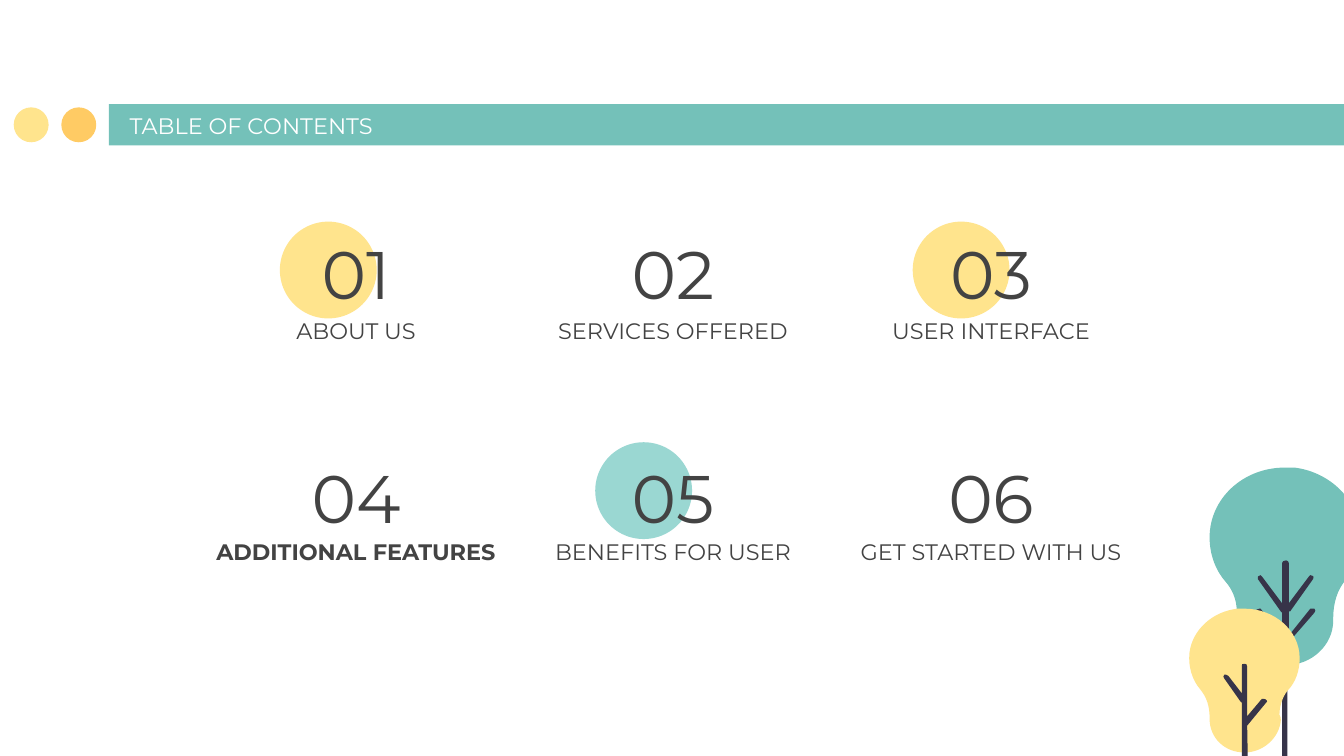
import lxml.etree
import pptx
import pptx.dml.color
import pptx.enum.shapes
import pptx.enum.text
import pptx.oxml.ns
import pptx.util

Cm = pptx.util.Cm
MSO_SHAPE = pptx.enum.shapes.MSO_SHAPE
ANCHOR = pptx.enum.text.MSO_ANCHOR
ALIGN = pptx.enum.text.PP_ALIGN
RGB = pptx.dml.color.RGBColor.from_string
qn = pptx.oxml.ns.qn

COLORS = {"teal": "74C1B9", "mint": "9AD7D2", "yellow": "FFE48D", "orange": "FFCB64",
          "bark": "373449", "ink": "434343", "white": "FFFFFF"}


def write_text(box, text, size=12, color="ink", bold=False, align=ALIGN.CENTER, anchor=ANCHOR.BOTTOM):
    frame = box.text_frame
    frame.word_wrap = True
    frame.auto_size = pptx.enum.text.MSO_AUTO_SIZE.NONE
    frame.vertical_anchor = anchor
    frame.margin_left = frame.margin_right = frame.margin_top = frame.margin_bottom = Cm(0.25)
    para = frame.paragraphs[0]
    para.alignment = align
    span = para.add_run()
    span.text = text
    span.font.name = "Montserrat"
    span.font.size = pptx.util.Pt(size)
    span.font.bold = bold
    span.font.color.rgb = RGB(COLORS[color])


def paint(shape, color):
    shape.shadow.inherit = False
    shape.fill.solid()
    shape.fill.fore_color.rgb = RGB(COLORS[color])
    shape.line.fill.background()


deck = pptx.Presentation()
deck.slide_width, deck.slide_height = Cm(25.4), Cm(14.29)
page = deck.slides.add_slide(deck.slide_layouts[5])

bar = page.shapes.add_shape(MSO_SHAPE.RECTANGLE, Cm(2.06), Cm(1.97), Cm(24.13), Cm(0.78))
paint(bar, "teal")
for left, color in ((1.16, "orange"), (0.26, "yellow")):
    dot = page.shapes.add_shape(MSO_SHAPE.OVAL, Cm(left), Cm(2.03), Cm(0.66), Cm(0.66))
    paint(dot, color)

title = page.shapes.title
title.left, title.top, title.width, title.height = Cm(2.2), Cm(2.01), Cm(13.92), Cm(0.86)
write_text(title, "TABLE OF CONTENTS", color="white", align=ALIGN.LEFT)
bar._element.addnext(title._element)

centers = (6.73, 12.72, 18.73)
circle_lefts = (5.29, 11.25, 17.25)
topics = [("ABOUT US", "yellow"), ("SERVICES OFFERED", None), ("USER INTERFACE", "yellow"),
          ("ADDITIONAL FEATURES", None), ("BENEFITS FOR USER", "mint"), ("GET STARTED WITH US", None)]
for index, (topic, color) in enumerate(topics):
    row, column = divmod(index, 3)
    center = centers[column]
    if color:
        circle = page.shapes.add_shape(MSO_SHAPE.OVAL, Cm(circle_lefts[column]), Cm(4.19 + 4.17 * row),
                                       Cm(1.83), Cm(1.83))
        paint(circle, color)
    number = page.shapes.add_textbox(Cm(center - 2.44), Cm(4.35 + 4.23 * row), Cm(4.88), Cm(1.6))
    write_text(number, f"{index + 1:02}", size=36, anchor=ANCHOR.MIDDLE)
    label = page.shapes.add_textbox(Cm(center - 3.23), Cm(5.16 + 4.17 * row), Cm(6.46), Cm(1.6))
    write_text(label, topic, bold=topic == "ADDITIONAL FEATURES")

# Outlines are in hundredths of an inch: two numbers make a line, six make a Bezier curve.
big_crown = [
    (956, 348), (925, 348, 900, 371, 900, 400), (900, 412, 904, 424, 912, 433),
    (918, 440, 921, 449, 920, 458), (920, 459, 920, 461, 920, 463),
    (920, 481, 937, 495, 956, 495), (956, 495, 957, 495, 957, 495),
    (976, 495, 992, 480, 992, 462), (992, 460),
    (992, 449, 995, 439, 1001, 432), (1010, 421, 1014, 407, 1012, 394),
    (1009, 370, 988, 351, 963, 348), (960, 348, 958, 348, 956, 348)]
big_trunk = [
    (957, 417), (955, 417, 954, 418, 954, 419), (954, 449), (939, 429),
    (939, 428, 938, 428, 938, 428), (936, 428, 935, 430, 936, 431), (953, 455),
    (953, 455, 954, 455, 954, 456), (954, 473), (938, 453),
    (938, 453, 937, 453, 937, 453), (935, 453, 934, 454, 935, 456), (954, 479), (954, 584),
    (954, 585, 955, 586, 957, 586), (958, 586, 958, 585, 958, 584), (958, 479), (978, 456),
    (979, 455, 979, 454, 978, 453), (977, 453, 977, 453, 976, 453),
    (976, 453, 975, 453, 975, 453), (959, 473), (959, 455),
    (959, 455, 959, 455, 960, 455), (977, 431), (978, 429, 977, 428, 975, 428),
    (975, 428, 974, 428, 974, 429), (959, 449), (959, 419), (959, 418, 958, 417, 957, 417)]
small_crown = [
    (926, 453), (924, 453, 923, 453, 921, 453), (902, 455, 887, 469, 885, 486),
    (884, 496, 887, 506, 893, 513), (898, 519, 900, 526, 900, 534), (900, 535),
    (900, 549, 911, 560, 926, 560), (926, 560, 926, 560, 926, 560),
    (940, 560, 952, 549, 953, 536), (953, 535, 953, 533, 952, 532),
    (952, 526, 954, 519, 958, 514), (964, 508, 967, 499, 967, 490),
    (967, 469, 948, 453, 926, 453)]
small_trunk = [
    (926, 494), (925, 494, 923, 494, 924, 496), (924, 516), (914, 503),
    (913, 502, 913, 502, 912, 502), (912, 502, 911, 502, 911, 502),
    (910, 503, 910, 504, 911, 505), (923, 522), (923, 523, 924, 523, 924, 523), (924, 593),
    (924, 594, 925, 595, 926, 595), (927, 595, 928, 594, 929, 593), (928, 540), (942, 523),
    (944, 522, 942, 520, 940, 520), (940, 520, 939, 520, 939, 520), (928, 533), (928, 496),
    (928, 494, 927, 494, 926, 494)]

for crown, trunk, leaf in ((big_crown, big_trunk, "teal"), (small_crown, small_trunk, "yellow")):
    tree = page.shapes.add_group_shape()
    for outline, color in ((crown, leaf), (trunk, "bark")):
        points = [step[-2:] for step in outline]
        origin_x, origin_y = (min(values) for values in zip(*points))
        builder = tree.shapes.build_freeform(*points[0], scale=Cm(2.54) / 100)
        builder.add_line_segments(points[1:], close=True)
        shape = builder.convert_to_shape()
        paint(shape, color)
        segments = list(shape._element.iter(qn("a:lnTo")))
        for step, segment in zip(outline[1:], segments):
            if len(step) == 6:
                segment.tag = qn("a:cubicBezTo")
                for place in (0, 1):
                    x, y = step[2 * place:2 * place + 2]
                    segment.insert(place, lxml.etree.Element(
                        qn("a:pt"), x=str(x - origin_x), y=str(y - origin_y)))

deck.save("out.pptx")
